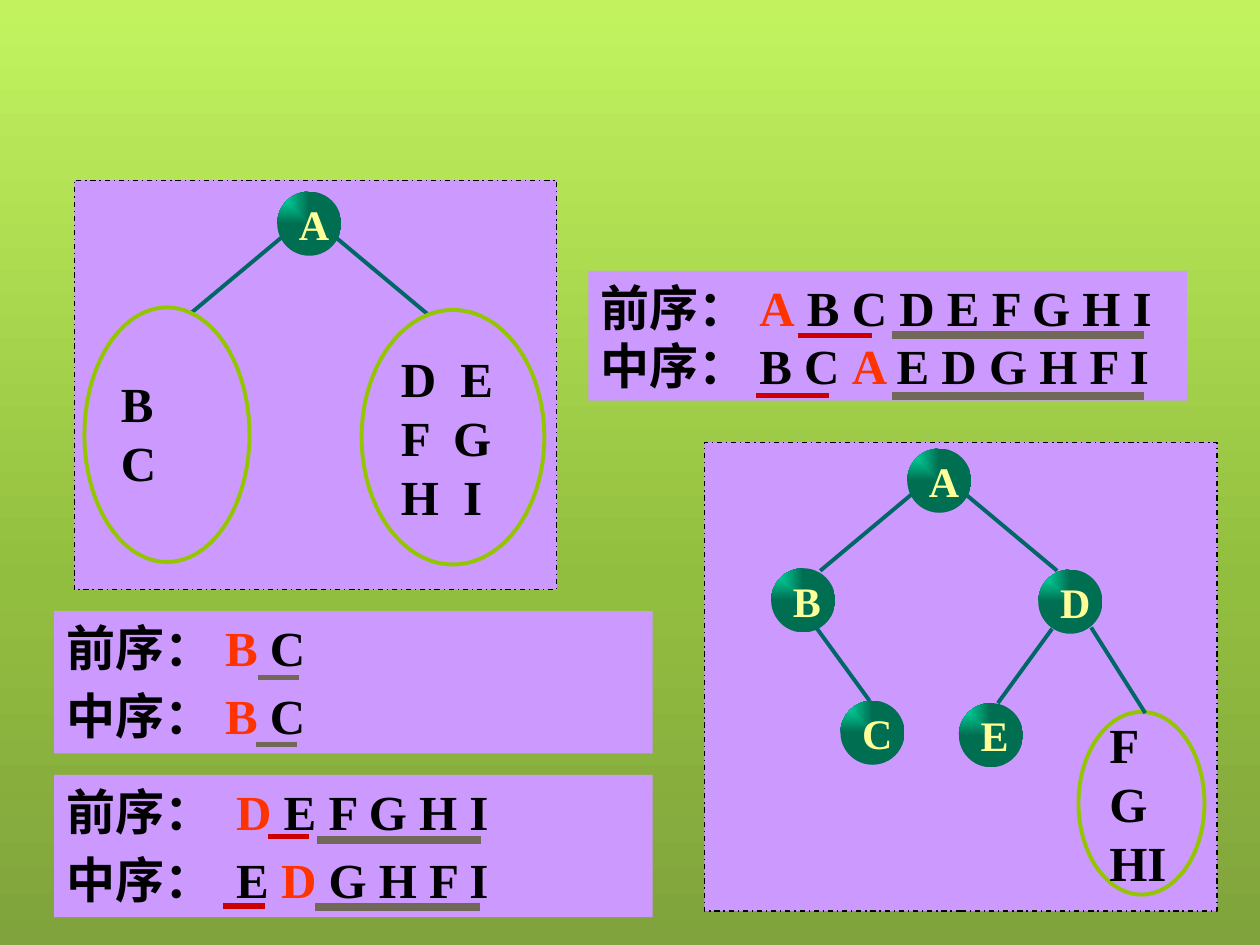
from lxml import etree
from pptx import Presentation
from pptx.dml.color import RGBColor
from pptx.enum.dml import MSO_LINE
from pptx.enum.shapes import MSO_CONNECTOR, MSO_SHAPE
from pptx.enum.text import MSO_ANCHOR, MSO_AUTO_SIZE, PP_ALIGN
from pptx.oxml.ns import qn
from pptx.util import Inches, Pt

LILAC = RGBColor(0xCC, 0x99, 0xFF)
BLACK = RGBColor(0x00, 0x00, 0x00)
ORANGE = RGBColor(0xFF, 0x33, 0x00)
RED = RGBColor(0xCC, 0x00, 0x00)
GRAY = RGBColor(0x71, 0x68, 0x5A)
LIME = RGBColor(0x94, 0xC6, 0x00)
TEAL = RGBColor(0x00, 0x66, 0x66)
CREAM = RGBColor(0xFF, 0xFF, 0x99)
SKY = [(0, RGBColor(0xC2, 0xF3, 0x5F)), (62, RGBColor(0x92, 0xBE, 0x3F)),
       (100, RGBColor(0x80, 0xA3, 0x3D))]
BALL = [(0, RGBColor(0x00, 0xEE, 0xB0)), (100, RGBColor(0x00, 0x6E, 0x51))]
SERIF, CJK = "Times New Roman", "Noto Sans CJK SC"
NODE = 0.51


def set_gradient(fill, parent, stops, from_corner=False):
    fill.gradient()
    grad = next(parent.iter(qn("a:gradFill")))
    for child in list(grad):
        grad.remove(child)
    gs_list = etree.SubElement(grad, qn("a:gsLst"))
    for pos, color in stops:
        gs = etree.SubElement(gs_list, qn("a:gs"), pos=str(pos * 1000))
        etree.SubElement(gs, qn("a:srgbClr"), val=str(color))
    if from_corner:
        path = etree.SubElement(grad, qn("a:path"), path="rect")
        etree.SubElement(path, qn("a:fillToRect"), r="100000", b="100000")
    else:
        etree.SubElement(grad, qn("a:lin"), ang="5400000", scaled="0")


def add_block(slide, kind, box, fill=None, line=None, width=2.25):
    sp = slide.shapes.add_shape(kind, *map(Inches, box))
    sp.shadow.inherit = False
    if fill is None:
        sp.fill.background()
    else:
        sp.fill.solid()
        sp.fill.fore_color.rgb = fill
    if line is None:
        sp.line.fill.background()
    else:
        sp.line.color.rgb = line
        sp.line.width = Pt(width)
    return sp


def add_line(slide, x1, y1, x2, y2, color=TEAL, width=2.25):
    ln = slide.shapes.add_connector(
        MSO_CONNECTOR.STRAIGHT, *map(Inches, (x1, y1, x2, y2)))
    ln.line.color.rgb = color
    ln.line.width = Pt(width)
    etree.SubElement(ln._element.spPr, qn("a:effectLst"))


def style_run(r, color=BLACK, size=28, font=SERIF):
    r.font.size = Pt(size)
    r.font.bold = True
    r.font.name = font
    r.font.color.rgb = color
    etree.SubElement(r._r.get_or_add_rPr(), qn("a:ea"), typeface=CJK)


def add_order_panel(slide, box, lines, underlines, one_paragraph=False):
    sp = add_block(slide, MSO_SHAPE.RECTANGLE, box, LILAC)
    tf = sp.text_frame
    tf.word_wrap = True
    tf.auto_size = MSO_AUTO_SIZE.SHAPE_TO_FIT_TEXT
    tf.vertical_anchor = MSO_ANCHOR.TOP
    p = tf.paragraphs[0]
    p.alignment = PP_ALIGN.LEFT
    for i, (label, *parts) in enumerate(lines):
        if i and one_paragraph:
            p.add_line_break()
        elif i:
            p = tf.add_paragraph()
            p.alignment = PP_ALIGN.LEFT
            p.space_before = Pt(5.6)
        r = p.add_run()
        r.text = label
        style_run(r, font=CJK if label.endswith("：") else SERIF)
        for text, color in parts:
            r = p.add_run()
            r.text = text
            style_run(r, color)
    left, top = box[:2]
    for start, end, y, color, width in underlines:
        add_line(slide, left + start, top + y, left + end, top + y, color, width)


def add_node(slide, x, y, letter):
    sp = add_block(slide, MSO_SHAPE.OVAL, (x, y, NODE, NODE))
    set_gradient(sp.fill, sp._element.spPr, BALL, from_corner=True)
    tf = sp.text_frame
    tf.text = letter
    tf.word_wrap = False
    tf.vertical_anchor = MSO_ANCHOR.MIDDLE
    p = tf.paragraphs[0]
    p.alignment = PP_ALIGN.LEFT
    style_run(p.runs[0], CREAM, 24)


def add_group(slide, box, lines, anchor=MSO_ANCHOR.MIDDLE, wrap=True, tracking=0):
    sp = add_block(slide, MSO_SHAPE.OVAL, box, line=LIME)
    tf = sp.text_frame
    tf.text = "\n".join(lines)
    tf.word_wrap = wrap
    tf.vertical_anchor = anchor
    if wrap:
        tf.margin_top = Inches(0.01)
    for p in tf.paragraphs:
        p.alignment = PP_ALIGN.LEFT
        for r in p.runs:
            style_run(r)
            if tracking:
                r._r.get_or_add_rPr().set("spc", str(tracking))


def add_tree_base(slide, box, root_y):
    sp = add_block(slide, MSO_SHAPE.RECTANGLE, box, LILAC, BLACK, 0.75)
    sp.line.dash_style = MSO_LINE.DASH_DOT
    x, y = box[0] + 1.61, box[1] + root_y
    for start, end in ((0.04, -0.69), (0.46, 1.19)):
        add_line(slide, x + start, y + 0.36, x + end, y + 0.97)
    add_node(slide, x, y, "A")


def add_first_tree(slide, box):
    left, top = box[:2]
    add_tree_base(slide, box, 0.09)
    add_group(slide, (left + 0.08, top + 1.01, 1.31, 2.02), ["B C"], tracking=350)
    add_group(slide, (left + 2.28, top + 1.03, 1.45, 2.02),
              ["D E", "F G", "H I"], MSO_ANCHOR.TOP, tracking=350)


def add_second_tree(slide, box):
    left, top = box[:2]
    add_tree_base(slide, box, 0.05)
    for x, y, letter in ((0.53, 1, "B"), (1.08, 2.05, "C"),
                         (2.65, 1.01, "D"), (2.02, 2.07, "E")):
        add_node(slide, left + x, top + y, letter)
    add_group(slide, (left + 2.97, top + 2.14, 1, 1.45), ["F\vG", "HI"], wrap=False)
    for x1, y1, x2, y2 in ((0.88, 1.46, 1.31, 2.05), (2.76, 1.48, 2.33, 2.07),
                           (3.07, 1.47, 3.5, 2.15)):
        add_line(slide, left + x1, top + y1, left + x2, top + y2)


def main():
    prs = Presentation()
    prs.slide_width, prs.slide_height = Inches(10), Inches(7.5)
    slide = prs.slides.add_slide(prs.slide_layouts[6])
    set_gradient(slide.background.fill, slide._element, SKY)

    add_order_panel(
        slide, (4.67, 2.15, 4.75, 1.03),
        [("前序：", ("A", ORANGE), (" B C D E F G H I", BLACK)),
         ("中序：", ("B C ", BLACK), ("A ", ORANGE), ("E D G H F I", BLACK))],
        [(1.66, 2.25, 0.51, RED, 3), (2.41, 4.41, 0.51, GRAY, 4.5),
         (1.33, 1.91, 0.99, RED, 3), (2.41, 4.41, 0.99, GRAY, 4.5)],
        one_paragraph=True)
    add_order_panel(
        slide, (0.43, 4.85, 4.75, 1.13),
        [(label, ("B", ORANGE), (" C", BLACK)) for label in ("前序：", "中序：")],
        [(1.62, 1.94, 0.53, GRAY, 3), (1.6, 1.93, 1.06, GRAY, 3)])
    add_order_panel(
        slide, (0.43, 6.15, 4.75, 1.13),
        [("前序： ", ("D", ORANGE), (" E F G H I", BLACK)),
         ("中序： E ", ("D", ORANGE), (" G H F I", BLACK))],
        [(1.7, 2.02, 0.49, RED, 3), (2.09, 3.39, 0.52, GRAY, 4.5),
         (1.34, 1.67, 1.04, RED, 3), (2.07, 3.38, 1.05, GRAY, 4.5)])
    add_first_tree(slide, (0.59, 1.43, 3.83, 3.25))
    add_second_tree(slide, (5.59, 3.51, 4.07, 3.72))
    prs.save("out.pptx")


if __name__ == "__main__":
    main()
